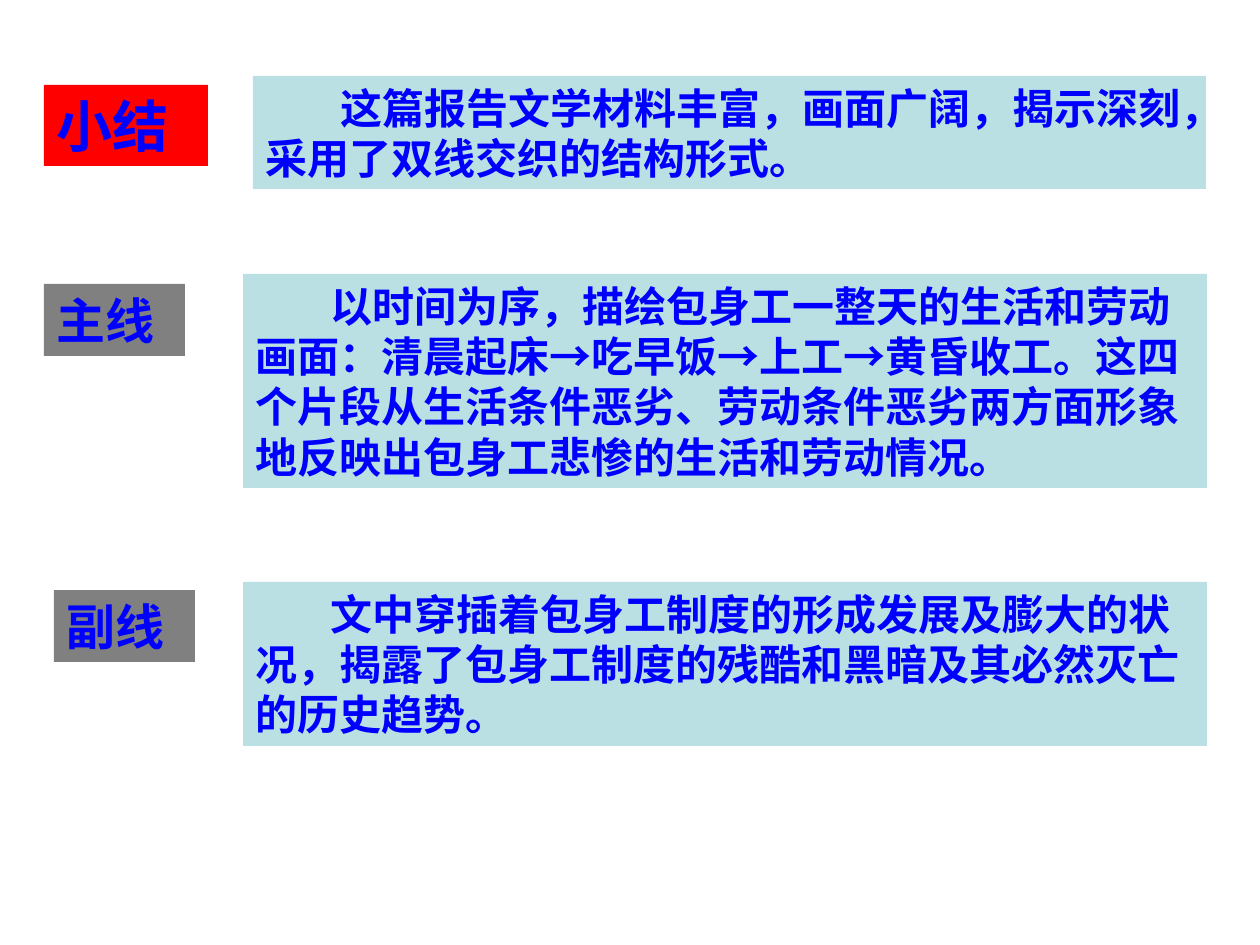
from pptx import Presentation
from pptx.dml.color import RGBColor
from pptx.enum.text import MSO_ANCHOR, MSO_AUTO_SIZE
from pptx.util import Emu, Inches, Pt

PIXELS_PER_INCH = 126
BLUE = RGBColor(0x00, 0x00, 0xFF)
RED = RGBColor(0xFF, 0x00, 0x00)
GRAY = RGBColor(0x80, 0x80, 0x80)
PALE_TEAL = RGBColor(0xBB, 0xE0, 0xE3)
SERIF = "Times New Roman"
SANS = "Arial"
FIRST_LINE_INDENT = 75


def px(length):
    return Emu(round(length * Inches(1) / PIXELS_PER_INCH))


def add_panel(slide, box, fill, size, runs, indent=0):
    """Add a filled text box; runs are (text, font name) pairs."""
    shape = slide.shapes.add_textbox(*map(px, box))
    shape.fill.solid()
    shape.fill.fore_color.rgb = fill
    frame = shape.text_frame
    frame.word_wrap = True
    frame.auto_size = MSO_AUTO_SIZE.SHAPE_TO_FIT_TEXT
    frame.vertical_anchor = MSO_ANCHOR.TOP
    paragraph = frame.paragraphs[0]
    if indent:
        paragraph._p.get_or_add_pPr().set("indent", str(px(indent)))
    for text, font_name in runs:
        run = paragraph.add_run()
        run.text = text
        run.font.name = font_name
        run.font.size = Pt(size)
        run.font.bold = True
        run.font.color.rgb = BLUE


presentation = Presentation()
presentation.slide_width = px(1260)
presentation.slide_height = px(945)
slide = presentation.slides.add_slide(presentation.slide_layouts[6])

# Each section: label, label box, label fill, label size, body box, body runs
sections = [
    ("小结", (44, 85, 164, 81), RED, 32, (253, 76, 953, 113), [
        ("这篇报告文学材料丰富，画面广阔，揭示深刻，采用了双线交织的结构形式。", SERIF),
    ]),
    ("主线", (44, 284, 141, 72), GRAY, 28, (243, 274, 964, 214), [
        ("以时间为序，描绘包身工一整天的生活和劳动画面：清晨起床→吃早饭→上工→黄昏收工。"
         "这四个片段从生活条件恶劣、劳动条件恶劣两方面形象地反映出包身工悲惨的生活和劳动情况。", SERIF),
    ]),
    ("副线", (54, 590, 141, 72), GRAY, 28, (243, 582, 964, 164), [
        ("文中穿插着包身工制度的形成发展及膨大的状况，揭露了", SERIF),
        ("包身工制度的残酷和黑暗及其必然灭亡的历史趋势。", SANS),
    ]),
]

for label, label_box, label_fill, label_size, body_box, body_runs in sections:
    add_panel(slide, label_box, label_fill, label_size, [(label, SERIF)])
    add_panel(slide, body_box, PALE_TEAL, 24, body_runs, FIRST_LINE_INDENT)

presentation.save("out.pptx")
